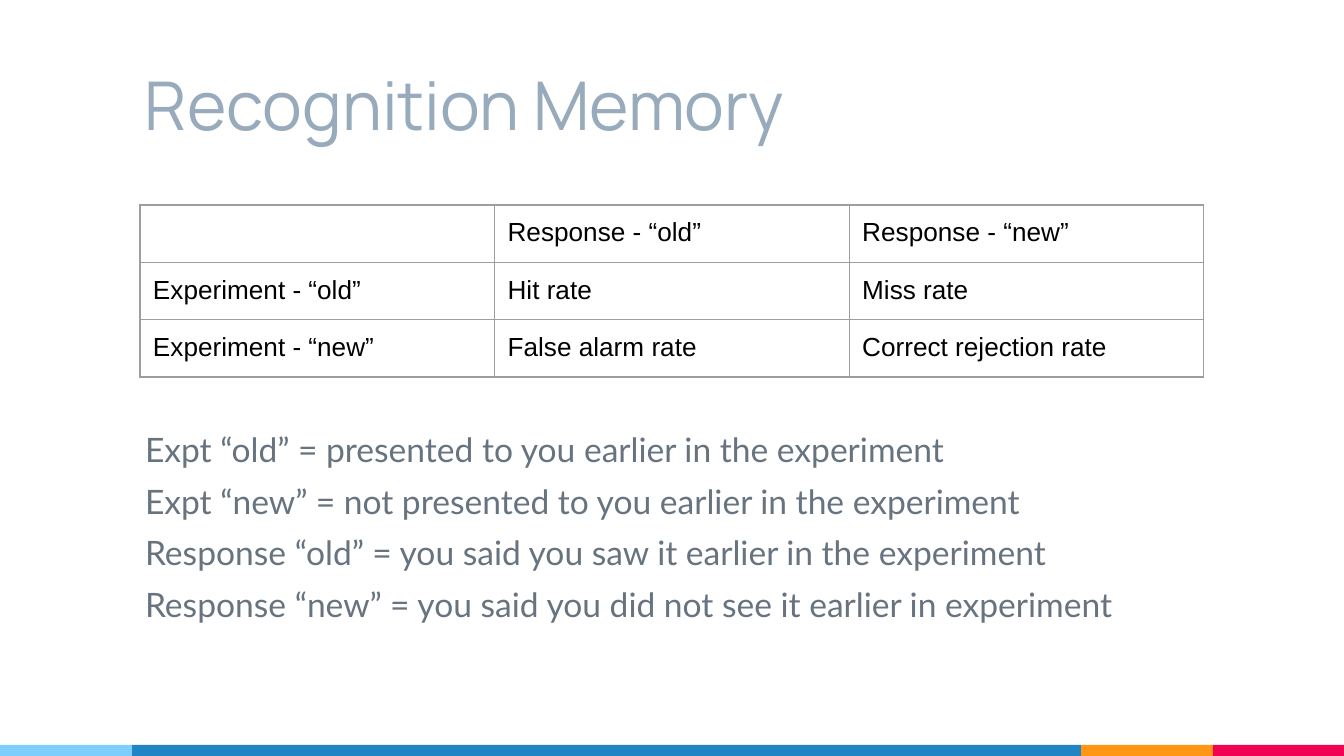
import pptx
import pptx.util
import pptx.dml.color
import pptx.enum.shapes
import pptx.enum.text
import pptx.oxml
import pptx.oxml.ns

SCALE = 914400 / 134.4  # EMU in one px
INSET = 13


def px(*vals):
    return [pptx.util.Emu(round(v * SCALE)) for v in vals]


def color(code):
    return pptx.dml.color.RGBColor.from_string(code)


class Deck:
    title = ("Manrope", 36, "97ABBC")
    body = ("Lato", 18, "677480")
    cell = ("Arial", 14, "000000")
    rule = "9E9E9E"

    def __init__(self, wide, high):
        self.prs = pptx.Presentation()
        self.prs.slide_width, self.prs.slide_height = px(wide, high)
        self.slide = self.prs.slides.add_slide(self.prs.slide_layouts[6])

    def style(self, par, look):
        name, size, code = look
        for run in par.runs:
            run.font.name = name
            run.font.size = pptx.util.Pt(size)
            run.font.color.rgb = color(code)

    def bar(self, left, top, wide, high, code):
        kind = pptx.enum.shapes.MSO_SHAPE.RECTANGLE
        shape = self.slide.shapes.add_shape(kind, *px(left, top, wide, high))
        shape.shadow.inherit = False
        shape.fill.solid()
        shape.fill.fore_color.rgb = color(code)
        shape.line.fill.background()

    def text(self, left, top, wide, high, lines, look, gap=0, low=False):
        box = self.slide.shapes.add_textbox(*px(left, top, wide, high))
        frame = box.text_frame
        frame.word_wrap = True
        if low:
            frame.vertical_anchor = pptx.enum.text.MSO_ANCHOR.BOTTOM
        (frame.margin_left, frame.margin_right,
         frame.margin_top, frame.margin_bottom) = px(*[INSET] * 4)
        frame.text = "\n".join(lines)
        for i, par in enumerate(frame.paragraphs):
            par.space_before = pptx.util.Pt(gap if i else 0)
            self.style(par, look)

    def border(self, cell):
        props = cell._tc.get_or_add_tcPr()
        for i, side in enumerate(("lnL", "lnR", "lnT", "lnB")):
            props.insert(i, pptx.oxml.parse_xml(
                f'<a:{side} {pptx.oxml.ns.nsdecls("a")} w="9525"><a:solidFill>'
                f'<a:srgbClr val="{self.rule}"/></a:solidFill></a:{side}>'))

    def table(self, left, top, wide, high, rows):
        count = len(rows), len(rows[0])
        table = self.slide.shapes.add_table(
            *count, *px(left, top, wide, high)).table
        table.first_row = table.horz_banding = False
        for col in table.columns:
            col.width = px(wide / count[1])[0]
        for r, row in enumerate(rows):
            table.rows[r].height = px(high / count[0])[0]
            for c, words in enumerate(row):
                cell = table.cell(r, c)
                (cell.margin_left, cell.margin_right,
                 cell.margin_top, cell.margin_bottom) = px(*[INSET] * 4)
                cell.fill.background()
                self.border(cell)
                par = cell.text_frame.paragraphs[0]
                if words:
                    par.text = words
                    self.style(par, self.cell)
                else:  # keeps the empty cell from growing its row
                    end = par._p.get_or_add_endParaRPr()
                    end.set("sz", str(self.cell[1] * 100))


def main():
    deck = Deck(1344, 756)

    # Colour strip along the foot
    left = 0
    for wide, code in ((132, "7ECEFD"), (949, "2185C5"),
                       (132, "FF9715"), (131, "F20253")):
        deck.bar(left, 745, wide, 11, code)
        left += wide

    # Title
    deck.text(132, 31, 950, 126, ["Recognition Memory"], deck.title, low=True)

    # Response table
    deck.table(140, 205, 1064, 168, [
        ["", "Response - “old”", "Response - “new”"],
        ["Experiment - “old”", "Hit rate", "Miss rate"],
        ["Experiment - “new”", "False alarm rate", "Correct rejection rate"],
    ])

    # Definitions
    deck.text(132, 416, 1047, 309, [
        "Expt “old” = presented to you earlier in the experiment",
        "Expt “new” = not presented to you earlier in the experiment",
        "Response “old” = you said you saw it earlier in the experiment",
        "Response “new” = you said you did not see it earlier in experiment",
    ], deck.body, gap=6)

    deck.prs.save("out.pptx")


if __name__ == "__main__":
    main()
